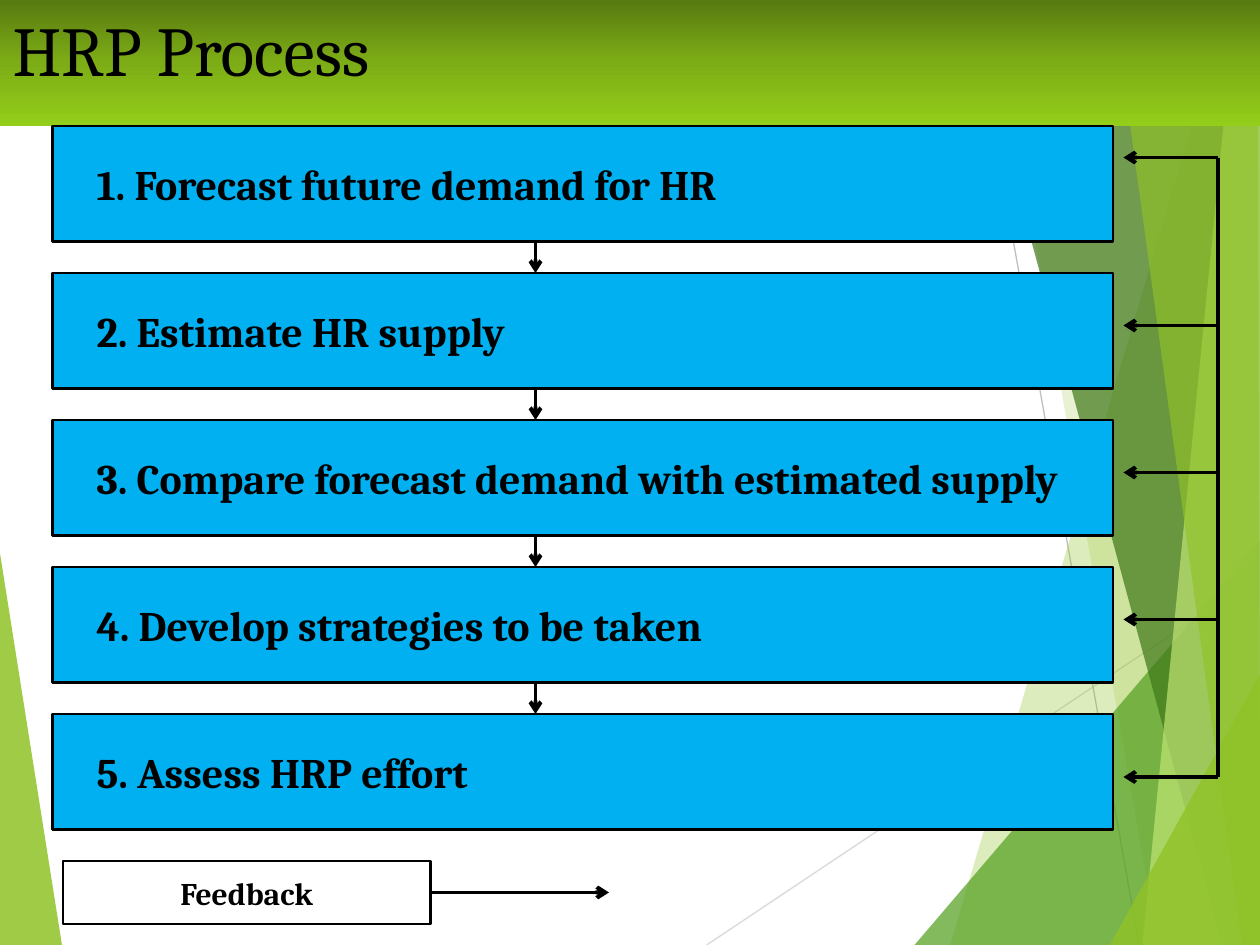
import copy
import pptx
import pptx.dml.color
import pptx.enum.shapes
import pptx.enum.text
import pptx.oxml.ns
import pptx.util
from lxml import etree

PX = 7620  # 120 px to the inch
WIDTH, HEIGHT = 1200, 900
BLACK, BLUE, LIME = "000000", "00B0F0", "90C226"
SHAPE = pptx.enum.shapes.MSO_SHAPE
ALIGN = pptx.enum.text.PP_ALIGN
ANCHOR = pptx.enum.text.MSO_ANCHOR

STEPS = [
    "1. Forecast future demand for HR",
    "2. Estimate HR supply",
    "3. Compare forecast demand with estimated supply",
    "4. Develop strategies to be taken",
    "5. Assess HRP effort",
]
# Points, colour, opacity in percent
LEFT_PANEL = ([(0, 527), (59, 900), (0, 900)], LIME, 85)
RIGHT_PANELS = [
    ([(1170, 0), (905, 900), (1200, 900), (1200, 0)], LIME, 30),
    ([(946, 0), (1103, 900), (1200, 900), (1200, 0)], LIME, 20),
    ([(871, 900), (1200, 515), (1200, 900)], "54A021", 72),
    ([(920, 0), (1164, 900), (1200, 900), (1200, 0)], "3F7819", 70),
    ([(1177, 0), (1088, 900), (1200, 900), (1200, 0)], "C0E474", 70),
    ([(1060, 0), (1183, 900), (1200, 900), (1198, 0)], LIME, 65),
    ([(1057, 900), (1200, 642), (1200, 900)], LIME, 80),
]


def color(text):
    return pptx.dml.color.RGBColor.from_string(text)


def child(parent, tag, **attrs):
    """Append a DrawingML element such as a:tailEnd."""
    return etree.SubElement(parent, pptx.oxml.ns.qn(tag), attrs)


class Deck:
    font = "Cambria"

    def __init__(self):
        self.show = pptx.Presentation()
        self.show.slide_width = WIDTH * PX
        self.show.slide_height = HEIGHT * PX
        self.slide = self.show.slides.add_slide(self.show.slide_layouts[5])
        self.shapes = self.slide.shapes

    def label(self, shape, text, size, bold=False, align=ALIGN.LEFT,
              anchor=ANCHOR.MIDDLE, inset=12):
        frame = shape.text_frame
        frame.text = text
        frame.word_wrap = True
        frame.auto_size = pptx.enum.text.MSO_AUTO_SIZE.NONE
        frame.vertical_anchor = anchor
        frame.margin_left = inset * PX
        frame.paragraphs[0].alignment = align
        font = frame.paragraphs[0].runs[0].font
        font.name, font.bold = self.font, bold
        font.size = pptx.util.Pt(size)
        font.color.rgb = color(BLACK)

    def title(self, text, height, stops):
        """Place the title band over what is drawn so far."""
        shape = self.shapes.title
        self.shapes.element.append(shape.element)
        shape.left = shape.top = 0
        shape.width, shape.height = WIDTH * PX, height * PX
        shape.fill.gradient()
        shape.fill.gradient_angle = 270
        group = shape.element.xpath(".//a:gsLst")[0]
        group.append(copy.deepcopy(group[0]))
        for stop, (place, tone) in zip(shape.fill.gradient_stops, stops):
            stop.position = place
            stop.color.rgb = color(tone)
        self.label(shape, text, 40, anchor=ANCHOR.TOP)

    def panel(self, points, tone, alpha):
        build = self.shapes.build_freeform(*points[0], scale=PX)
        build.add_line_segments(points[1:], close=True)
        shape = build.convert_to_shape()
        shape.shadow.inherit = False
        shape.fill.solid()
        shape.fill.fore_color.rgb = color(tone)
        shape.line.fill.background()
        tint = shape.element.xpath("./p:spPr/a:solidFill/a:srgbClr")[0]
        child(tint, "a:alpha", val=str(alpha * 1000))

    def box(self, left, top, width, height, text, size, fill=None, **style):
        shape = self.shapes.add_shape(
            SHAPE.RECTANGLE, left * PX, top * PX, width * PX, height * PX)
        shape.shadow.inherit = False
        if fill:
            shape.fill.solid()
            shape.fill.fore_color.rgb = color(fill)
        else:
            shape.fill.background()
        shape.line.color.rgb = color(BLACK)
        shape.line.width = pptx.util.Pt(1.5)
        self.label(shape, text, size, bold=True, **style)

    def line(self, start, end, tone=BLACK, width=2.25, arrow=False):
        ends = [n * PX for n in (*start, *end)]
        link = self.shapes.add_connector(
            pptx.enum.shapes.MSO_CONNECTOR.STRAIGHT, *ends)
        link.line.color.rgb = color(tone)
        link.line.width = pptx.util.Pt(width)
        if arrow:
            child(link.element.xpath("./p:spPr/a:ln")[0],
                  "a:tailEnd", type="arrow")
        child(link.element.xpath("./p:spPr")[0], "a:effectLst")


def main():
    deck = Deck()
    deck.panel(*LEFT_PANEL)
    deck.line((673, 900), (1200, 548), "D9D9D9", 0.75)
    deck.line((924, 0), (1085, 900), "BFBFBF", 0.75)
    for panel in RIGHT_PANELS:
        deck.panel(*panel)
    deck.title("HRP Process", 120,
               [(0, "587A10"), (0.5, "7DAD16"), (1, "94CE1A")])

    rail, ticks = 1160, [150, 310, 450, 590, 740]
    deck.line((rail, ticks[0]), (rail, ticks[-1]))
    for y in ticks:
        deck.line((rail, y), (1070, y), arrow=True)

    first, tall, pitch = 120, 110, 140
    for i, step in enumerate(STEPS):
        top = first + i * pitch
        deck.box(50, top, 1010, tall, step, 24, BLUE, inset=42)
        if i:
            deck.line((510, top - pitch + tall), (510, top), arrow=True)

    deck.box(60, 820, 350, 60, "Feedback", 18, align=ALIGN.CENTER)
    deck.line((410, 850), (580, 850), arrow=True)
    deck.show.save("out.pptx")


if __name__ == "__main__":
    main()
